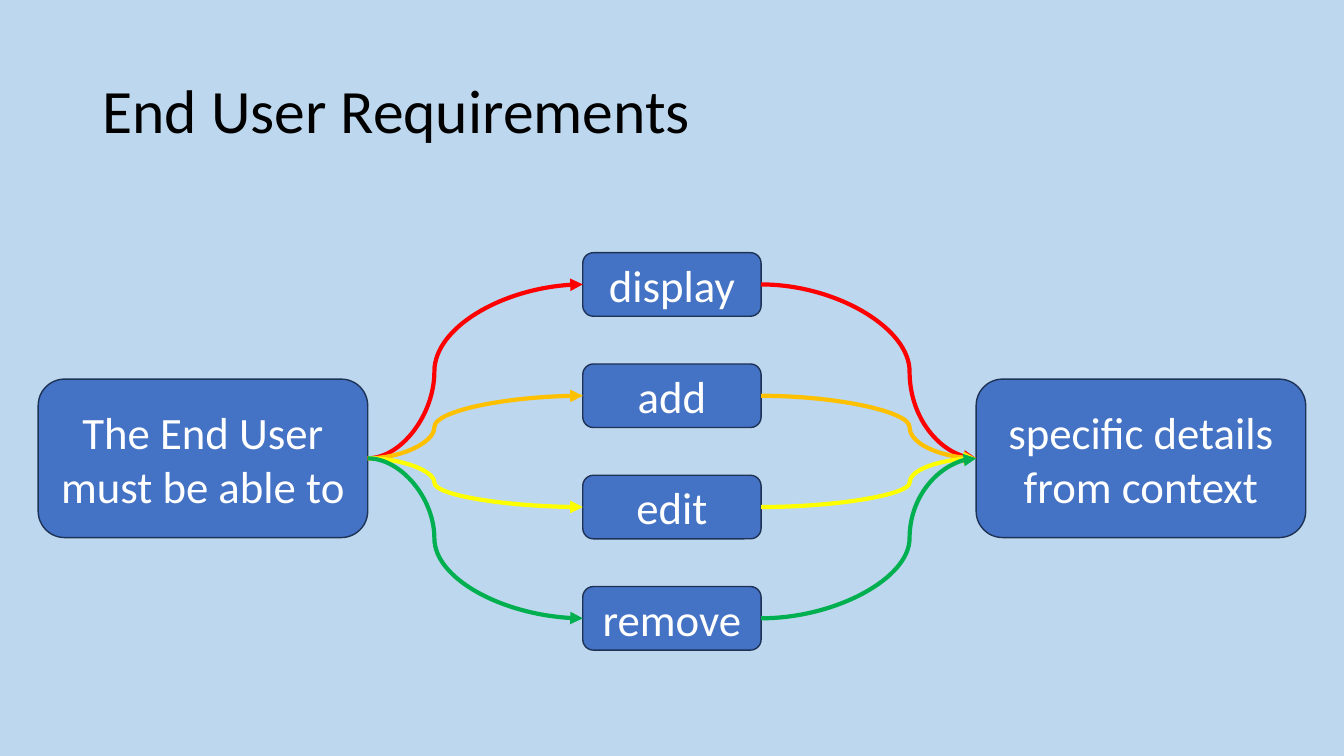
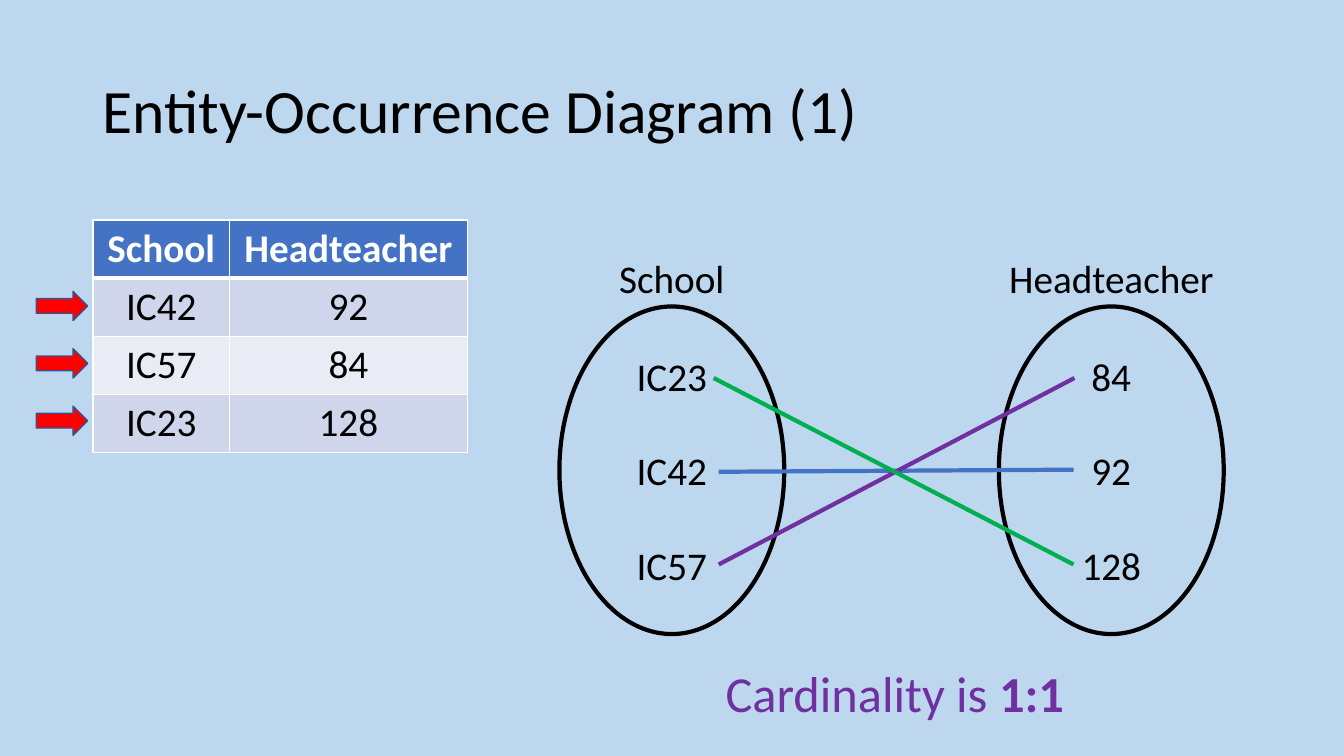
"""Build two database design slides: end user requirements and an entity-occurrence diagram."""
from lxml import etree
from pptx import Presentation
from pptx.dml.color import RGBColor
from pptx.enum import shapes, text
from pptx.oxml import ns
from pptx.util import Pt

COLORS = {
    "background": "BDD7EE", "blue": "4472C4", "box_line": "1E3256", "arrow_line": "325491",
    "black": "000000", "white": "FFFFFF", "red": "FF0000", "orange": "FFC000",
    "yellow": "FFFF00", "green": "00B050", "purple": "7030A0",
    "band_dark": "CFD5EA", "band_light": "E9EBF5",
}
RGB = {name: RGBColor.from_string(value) for name, value in COLORS.items()}
WIDTH, HEIGHT = 960, 540


def write(frame, content, size=28, color="black", bold=False, bold_end="",
          align="CENTER", anchor="MIDDLE", wrap=True, gap=0, spacing=None):
    """Fill a text frame, one paragraph per line of content."""
    frame.word_wrap = wrap
    frame.vertical_anchor = text.MSO_ANCHOR[anchor]
    for index, line in enumerate(content.split("\n")):
        paragraph = frame.add_paragraph() if index else frame.paragraphs[0]
        paragraph.alignment = text.PP_ALIGN[align]
        paragraph.line_spacing = spacing
        paragraph.space_before = Pt(gap if index else 0)
        for words, weight in ((line, bold), (bold_end, True)):
            if words:
                run = paragraph.add_run()
                run.text = words
                run.font.name = "Calibri"
                run.font.size = Pt(size)
                run.font.bold = weight
                run.font.color.rgb = RGB[color]


def add_shape(slide, kind, left, top, width, height, fill, line, weight=1):
    """Add a flat preset shape, unfilled when fill is None."""
    shape = slide.shapes.add_shape(
        shapes.MSO_SHAPE[kind], Pt(left), Pt(top), Pt(width), Pt(height))
    shape.shadow.inherit = False
    if fill:
        shape.fill.solid()
        shape.fill.fore_color.rgb = RGB[fill]
    else:
        shape.fill.background()
    shape.line.color.rgb = RGB[line]
    shape.line.width = Pt(weight)
    return shape


presentation = Presentation()
presentation.slide_width, presentation.slide_height = Pt(WIDTH), Pt(HEIGHT)
background = presentation.slide_master.background.fill
background.solid()
background.fore_color.rgb = RGB["background"]

slides = []
for heading in ("End User Requirements", "Entity-Occurrence Diagram (1)"):
    slide = presentation.slides.add_slide(presentation.slide_layouts[5])
    title = slide.shapes.title
    title.left, title.top, title.width, title.height = Pt(66), Pt(28.8), Pt(828), Pt(104.4)
    write(title.text_frame, heading, size=44, align="LEFT", spacing=0.9)
    slides.append(slide)
requirements, occurrence = slides
connectors = []

SIDE_WIDTH, SIDE_MARGIN = 235.4, 27.3
sides = []
for left, label in ((SIDE_MARGIN, "The End User must be able to"),
                    (WIDTH - SIDE_MARGIN - SIDE_WIDTH, "specific details from context")):
    side = add_shape(requirements, "ROUNDED_RECTANGLE", left, 270.8, SIDE_WIDTH, 113.2,
                     "blue", "box_line")
    write(side.text_frame, label, size=32, color="white")
    sides.append(side)
user, details = sides

ACTION_WIDTH = 127.4
actions = (("display", "red"), ("add", "orange"), ("edit", "yellow"), ("remove", "green"))
for index, (label, color) in enumerate(actions):
    action = add_shape(requirements, "ROUNDED_RECTANGLE", (WIDTH - ACTION_WIDTH) / 2,
                       180.5 + 79.5 * index, ACTION_WIDTH, 45.4, "blue", "box_line")
    write(action.text_frame, label, size=32, color="white")
    for start, end, bend in ((user, action, 31000), (action, details, 69000)):
        curve = requirements.shapes.add_connector(
            shapes.MSO_CONNECTOR.CURVE,
            start.left + start.width, start.top + start.height // 2,
            end.left, end.top + end.height // 2)
        curve.begin_connect(start, 3)
        curve.end_connect(end, 1)
        guides = curve.element.find(".//" + ns.qn("a:prstGeom")).get_or_add_avLst()
        etree.SubElement(guides, ns.qn("a:gd"), name="adj1", fmla=f"val {bend}")
        connectors.append((curve, color, True))

ROW_HEIGHT = 41.4
rows = (("School", "Headteacher"), ("IC42", "92"), ("IC57", "84"), ("IC23", "128"))
table = occurrence.shapes.add_table(
    len(rows), 2, Pt(66.4), Pt(157.2), Pt(267.4), Pt(ROW_HEIGHT * len(rows))).table
for column, width in zip(table.columns, (97.6, 169.8)):
    column.width = Pt(width)
for row_index, values in enumerate(rows):
    table.rows[row_index].height = Pt(ROW_HEIGHT)
    header = row_index == 0
    for column_index, value in enumerate(values):
        cell = table.cell(row_index, column_index)
        write(cell.text_frame, value, color="white" if header else "black", bold=header)
        cell.vertical_anchor = text.MSO_ANCHOR.MIDDLE
        properties = cell._tc.get_or_add_tcPr()
        for edge in "LRTB":
            thick = (header and edge == "B") or (row_index == 1 and edge == "T")
            border = etree.SubElement(
                properties, ns.qn(f"a:ln{edge}"), w=str(int(Pt(3 if thick else 1))))
            paint = etree.SubElement(border, ns.qn("a:solidFill"))
            etree.SubElement(paint, ns.qn("a:srgbClr"), val=COLORS["white"])
        cell.fill.solid()
        band = "band_dark" if row_index % 2 else "band_light"
        cell.fill.fore_color.rgb = RGB["blue" if header else band]

OVAL_WIDTH = 160.6
for left, entity, members in ((399.6, "School", "IC23\nIC42\nIC57"),
                              (713.5, "Headteacher", "84\n92\n128")):
    oval = add_shape(occurrence, "OVAL", left, 218.9, OVAL_WIDTH, 234, None, "black", 3)
    write(oval.text_frame, members, gap=34)
    label = occurrence.shapes.add_textbox(Pt(left), Pt(177.8), Pt(OVAL_WIDTH), Pt(41))
    write(label.text_frame, entity, anchor="TOP", wrap=False)

for start_x, start_y, end_x, end_y, color in ((513.4, 337, 766.8, 335.5, "blue"),
                                              (513.4, 403.2, 767.5, 270, "purple"),
                                              (509.8, 270, 766.8, 403.2, "green")):
    link = occurrence.shapes.add_connector(
        shapes.MSO_CONNECTOR.STRAIGHT, Pt(start_x), Pt(start_y), Pt(end_x), Pt(end_y))
    connectors.append((link, color, False))

for index in range(3):
    add_shape(occurrence, "RIGHT_ARROW", 25.9, 208.1 + 41 * index, 36.7, 20.9,
              "red", "arrow_line")

summary = occurrence.shapes.add_textbox(Pt(511.2), Pt(469.4), Pt(258.5), Pt(51))
write(summary.text_frame, "Cardinality is ", size=36, color="purple", bold_end="1:1",
      align="LEFT", anchor="TOP", wrap=False)

for connector, color, arrowhead in connectors:
    connector.line.color.rgb = RGB[color]
    connector.line.width = Pt(3)
    shape_properties = connector.element.spPr
    if arrowhead:
        etree.SubElement(shape_properties.find(ns.qn("a:ln")), ns.qn("a:tailEnd"),
                         type="triangle")
    etree.SubElement(shape_properties, ns.qn("a:effectLst"))

presentation.save("out.pptx")
